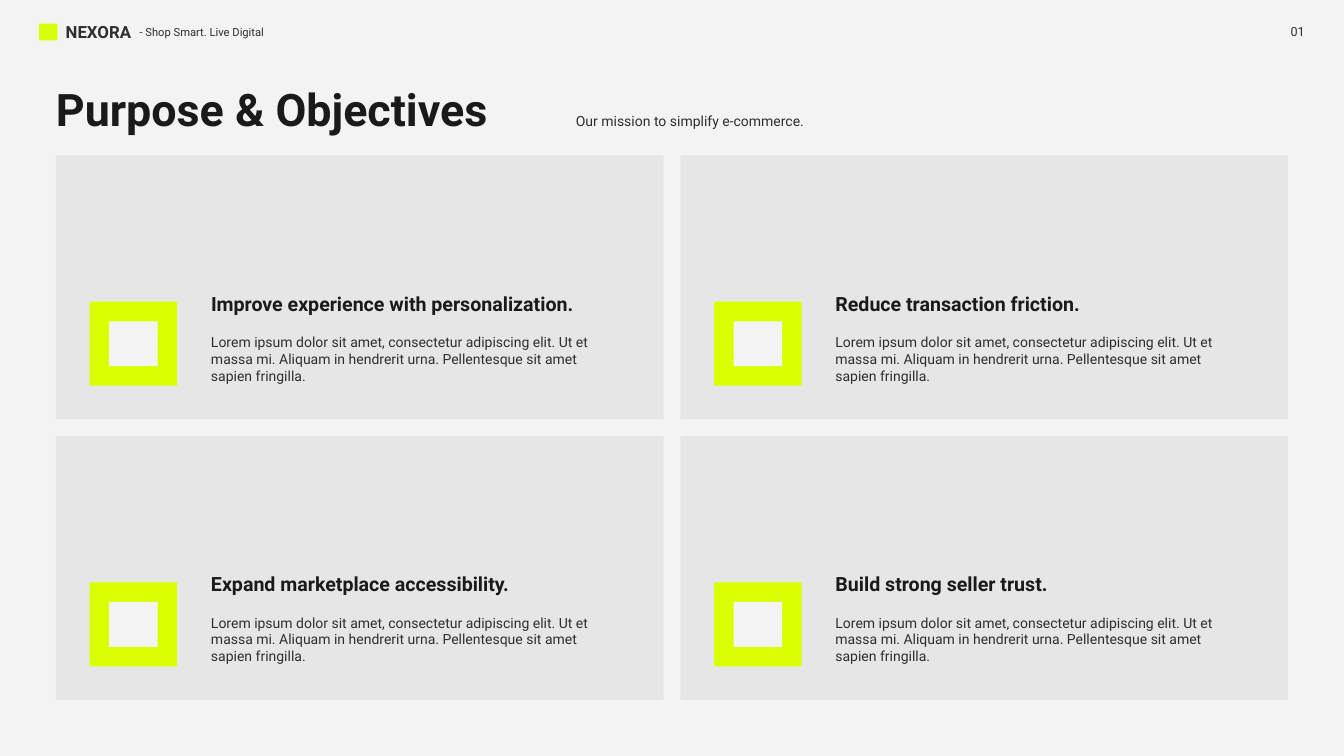
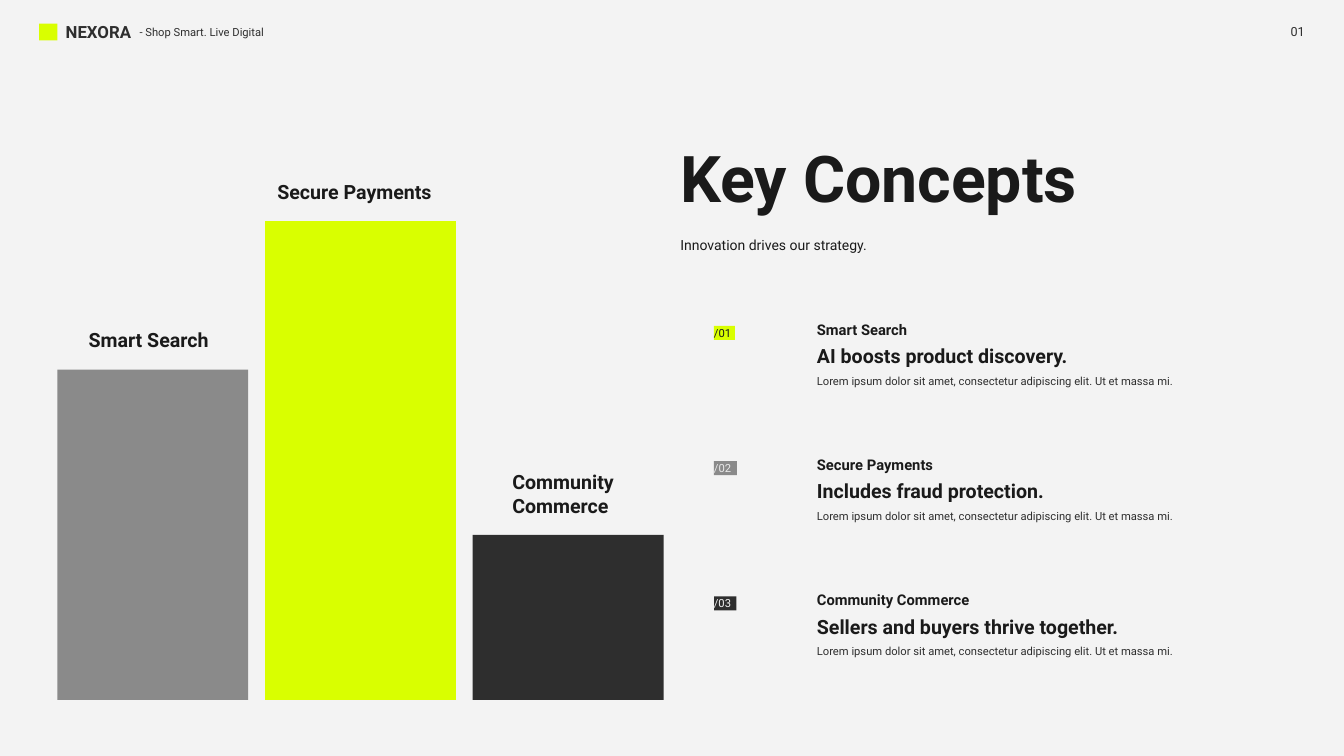
from dataclasses import dataclass

from lxml import etree
from pptx import Presentation, util as u
from pptx.dml.color import RGBColor
from pptx.enum import shapes, text
from pptx.oxml import ns


@dataclass(frozen=True)
class Theme:
    font: str = "Roboto"
    paper: str = "F3F3F3"
    lime: str = "D9FF00"
    gray: str = "8A8A8A"
    pale: str = "EAEAEA"
    charcoal: str = "2E2E2E"
    ink: str = "1A1A1A"
    black: str = "000000"
    display: float = 69
    title: float = 48
    heading: float = 21
    brand: float = 18
    name: float = 15.8
    body: float = 15
    page: float = 13.5
    small: float = 12


THEME = Theme()

# Grid: 48 columns by 27 rows of square cells
WIDTH, HEIGHT = u.Inches(20), u.Inches(11.25)
COLUMNS = 48
MARGIN, GAP, FLOOR = 2, 0.6, 25
CARDS_TOP = 5.55
CARD_W = (COLUMNS - 2 * MARGIN - GAP) / 2
CARD_H = (FLOOR - CARDS_TOP - GAP) / 2
RIGHT_HALF = MARGIN + CARD_W + GAP
INSET = 0.24  # side padding of a text box

LOREM = [
    "Lorem ipsum dolor sit amet, consectetur adipiscing elit. Ut et",
    "massa mi. Aliquam in hendrerit urna. Pellentesque sit amet",
    "sapien fringilla.",
]
LOREM_SHORT = "Lorem ipsum dolor sit amet, consectetur adipiscing elit. Ut et massa mi."

# Objective, width of its heading
OBJECTIVES = [
    ("Improve experience with personalization.", 14.52),
    ("Reduce transaction friction.", 9.98),
    ("Expand marketplace accessibility.", 12.17),
    ("Build strong seller trust.", 8.52),
]

# Bar label lines, label width, bar height, colour
BARS = [
    (["Smart Search"], 5.06, 11.8, THEME.gray),
    (["Secure Payments"], 6.41, 17.1, THEME.lime),
    (["Community", "Commerce"], 4.46, 5.9, THEME.charcoal),
]

# Tag, its width, fill and text colour; name and claim with their widths
CONCEPTS = [
    ("/01", 0.75, THEME.lime, THEME.ink,
     "Smart Search", 3.91, "AI boosts product discovery.", 10.37),
    ("/02", 0.82, THEME.gray, THEME.pale,
     "Secure Payments", 4.92, "Includes fraud protection.", 9.38),
    ("/03", 0.8, THEME.charcoal, THEME.paper,
     "Community Commerce", 6.43, "Sellers and buyers thrive together.", 12.14),
]


def cells(*counts):
    return [u.Emu(round(count * WIDTH / COLUMNS)) for count in counts]


def add_block(slide, left, top, width, height, color, opacity=None):
    block = slide.shapes.add_shape(
        shapes.MSO_SHAPE.RECTANGLE, *cells(left, top, width, height))
    block.shadow.inherit = False
    block.fill.solid()
    block.fill.fore_color.rgb = RGBColor.from_string(color)
    block.line.fill.background()
    if opacity is not None:
        tint = block.fill._xPr.find(".//" + ns.qn("a:srgbClr"))
        etree.SubElement(tint, ns.qn("a:alpha"), val=str(opacity * 1000))


def add_text(slide, content, left, top, width, height, *, size,
             color=THEME.ink, bold=False, wrap=False):
    frame = slide.shapes.add_textbox(*cells(left, top, width, height)).text_frame
    frame.word_wrap = wrap
    frame.auto_size = text.MSO_AUTO_SIZE.SHAPE_TO_FIT_TEXT
    lines = [content] if isinstance(content, str) else content
    frame.text = "\n".join(lines)
    for paragraph in frame.paragraphs:
        for run in paragraph.runs:
            run.font.name = THEME.font
            run.font.size = u.Pt(size)
            run.font.bold = bold
            run.font.color.rgb = RGBColor.from_string(color)


def add_page(deck):
    """Blank slide with the shared background and header."""
    slide = deck.slides.add_slide(deck.slide_layouts[6])
    slide.background.fill.solid()
    slide.background.fill.fore_color.rgb = RGBColor.from_string(THEME.paper)
    add_block(slide, 1.4, 0.84, 0.65, 0.6, THEME.lime)
    add_text(slide, "NEXORA", 2.11, 0.65, 3, 0.98,
             size=THEME.brand, color=THEME.charcoal, bold=True)
    add_text(slide, "- Shop Smart. Live Digital", 4.75, 0.77, 5.18, 0.74,
             size=THEME.small, color=THEME.charcoal)
    add_text(slide, "01", 45.86, 0.74, 0.98, 0.82,
             size=THEME.page, color=THEME.charcoal)
    return slide


def add_card(slide, left, top, objective, heading_w):
    add_block(slide, left, top, CARD_W, CARD_H, THEME.black, opacity=5)
    # Tile in the lower left corner, with its emblem centred
    pad, tile_w, tile_h, emblem_w, emblem_h = 1.2, 3.13, 3, 1.73, 1.6
    tile_left, tile_top = left + pad, top + CARD_H - pad - tile_h
    add_block(slide, tile_left, tile_top, tile_w, tile_h, THEME.lime)
    add_block(slide, tile_left + (tile_w - emblem_w) / 2,
              tile_top + (tile_h - emblem_h) / 2,
              emblem_w, emblem_h, THEME.paper)
    # Heading and description
    add_text(slide, objective, left + 5.3, top + 4.75, heading_w, 1.13,
             size=THEME.heading, bold=True)
    add_text(slide, LOREM, left + 5.3, top + 6.24, 15.77, 2.06,
             size=THEME.body, color=THEME.charcoal, wrap=True)


def add_bar(slide, left, width, label, label_w, height, color):
    top = FLOOR - height
    label_h = 0.3 + 0.82 * len(label)
    add_block(slide, left, top, width, height, color)
    add_text(slide, label, left + (width - label_w) / 2, top - 0.49 - label_h,
             label_w, label_h, size=THEME.heading, bold=True)


def add_concept(slide, top, tag, tag_w, tag_fill, tag_color,
                name, name_w, claim, claim_w):
    tag_left, text_left = 25.5, 28.94
    add_block(slide, tag_left, top + 0.31, tag_w, 0.5, tag_fill)
    add_text(slide, tag, tag_left - INSET, top + 0.19, tag_w + 0.36, 0.74,
             size=THEME.small, color=tag_color)
    add_text(slide, name, text_left, top, name_w, 0.91,
             size=THEME.name, bold=True)
    add_text(slide, claim, text_left, top + 0.84, claim_w, 1.13,
             size=THEME.heading, bold=True)
    add_text(slide, LOREM_SHORT, text_left, top + 1.92, 13.8, 0.74,
             size=THEME.small, color=THEME.charcoal)


def build_objectives(deck):
    slide = add_page(deck)
    add_text(slide, "Purpose & Objectives", MARGIN - INSET, 2.81, 17.42, 2.26,
             size=THEME.title, bold=True)
    add_text(slide, "Our mission to simplify e-commerce.", 20.33, 3.89, 9.19, 0.86,
             size=THEME.body, color=THEME.charcoal)
    for index, (objective, heading_w) in enumerate(OBJECTIVES):
        row, column = divmod(index, 2)
        add_card(slide, MARGIN + column * (CARD_W + GAP),
                 CARDS_TOP + row * (CARD_H + GAP), objective, heading_w)


def build_concepts(deck):
    slide = add_page(deck)
    add_text(slide, "Key Concepts", RIGHT_HALF - INSET, 4.82, 16.25, 3.14,
             size=THEME.display, bold=True)
    add_text(slide, "Innovation drives our strategy.", RIGHT_HALF - INSET, 8.33,
             7.56, 0.86, size=THEME.body)
    # Bars share the left half
    bars_left = MARGIN + 0.05
    bar_w = (MARGIN + CARD_W - bars_left - 2 * GAP) / len(BARS)
    for index, bar in enumerate(BARS):
        add_bar(slide, bars_left + index * (bar_w + GAP), bar_w, *bar)
    # Numbered list on the right
    for index, concept in enumerate(CONCEPTS):
        add_concept(slide, 11.33 + index * 4.83, *concept)


def main():
    deck = Presentation()
    deck.slide_width, deck.slide_height = WIDTH, HEIGHT
    build_objectives(deck)
    build_concepts(deck)
    deck.save("out.pptx")


if __name__ == "__main__":
    main()
